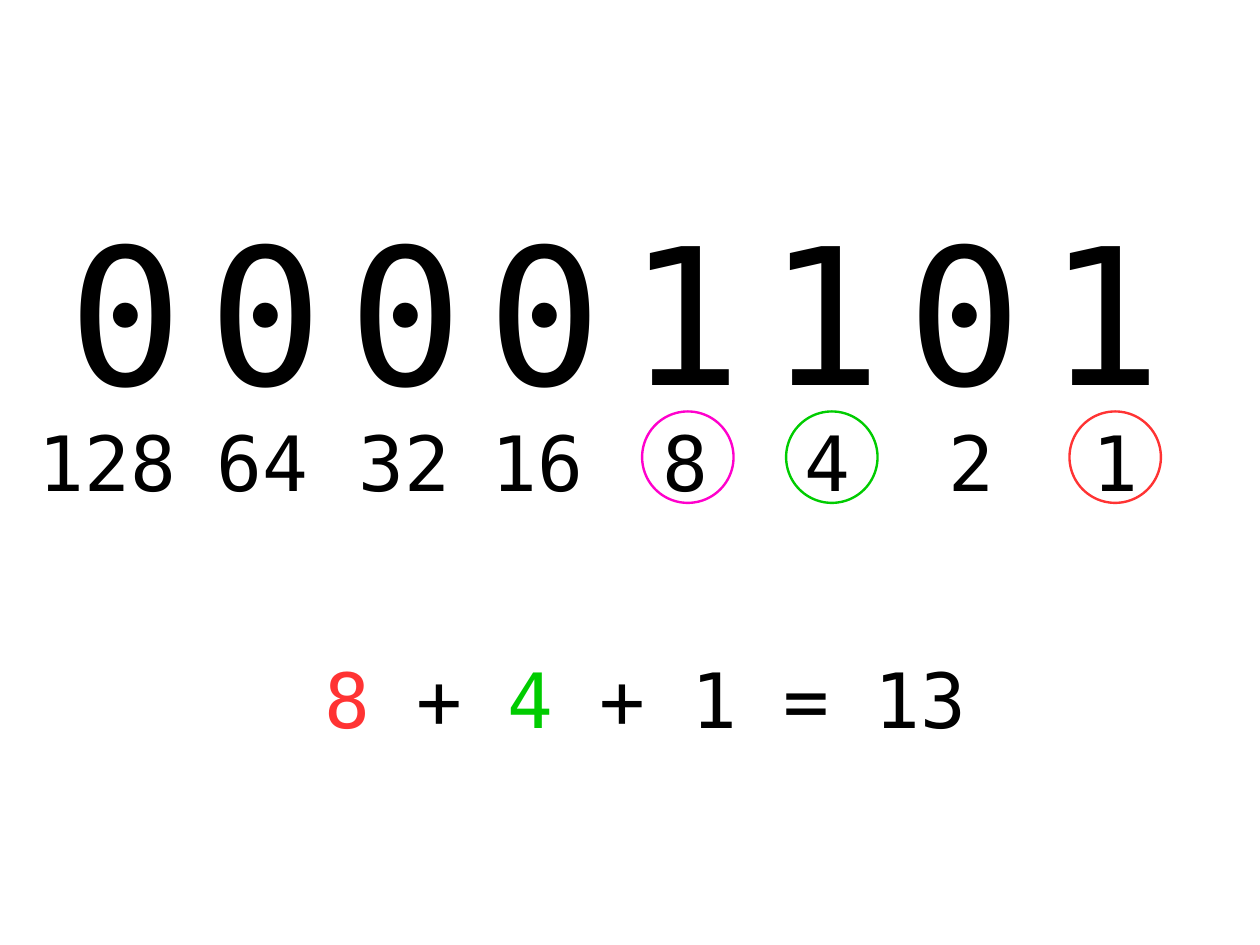
from pptx import Presentation
from pptx.dml.color import RGBColor
from pptx.enum.shapes import MSO_SHAPE as Shape
from pptx.enum.text import MSO_AUTO_SIZE as AutoSize
from pptx.util import Pt

FONT = "DejaVu Sans Mono"
BLACK, RED, GREEN, PINK = "000000", "FF3333", "00CC00", "FF00CC"

BITS = "00001101"
PLACES = [
    ("1", 681.1, 40.3), ("2", 590.4, 40.3), ("4", 499.7, 40.3), ("8", 410.4, 40.3),
    ("128", 17.3, 112.3), ("64", 129.6, 86.4), ("32", 218.9, 112.3), ("16", 302.4, 112.3),
]
RINGS = [(673.7, RED), (495.2, GREEN), (404.5, PINK)]
SUM = [("8", RED), (" + ", BLACK), ("4", GREEN), (" + 1 = 13", BLACK)]

SLIDE_WIDTH, SLIDE_HEIGHT = 793.7, 595.28
PLACE_TOP, SUM_TOP, LINE_HEIGHT = 258.3, 407.5, 62.6
RING_TOP, RING_SIZE = 259.2, 57.6
BIT_SPACING = 16


def colour(value):
    return RGBColor.from_string(value)


def add_text(page, spans, left, top, width, height, size=48):
    box = page.shapes.add_textbox(Pt(left), Pt(top), Pt(width), Pt(height))
    frame = box.text_frame
    frame.word_wrap = True
    frame.auto_size = AutoSize.SHAPE_TO_FIT_TEXT
    para = frame.paragraphs[0]
    para.font.name = FONT
    para.font.size = Pt(size)
    for text, tint in spans:
        span = para.add_run()
        span.text = text
        span.font.color.rgb = colour(tint)
    return para


def add_ring(page, left, tint):
    ring = page.shapes.add_shape(Shape.OVAL, Pt(left), Pt(RING_TOP), Pt(RING_SIZE), Pt(RING_SIZE))
    ring.shadow.inherit = False
    ring.fill.background()
    ring.line.color.rgb = colour(tint)
    ring.line.width = Pt(1.5)


def main():
    deck = Presentation()
    deck.slide_width, deck.slide_height = Pt(SLIDE_WIDTH), Pt(SLIDE_HEIGHT)
    page = deck.slides.add_slide(deck.slide_layouts[6])

    bits = add_text(page, [(BITS, BLACK)], 36, 119.5, 707, 146.9, size=120)
    bits.runs[0].font._element.set("spc", str(BIT_SPACING * 100))
    for value, left, width in PLACES:
        add_text(page, [(value, BLACK)], left, PLACE_TOP, width, LINE_HEIGHT)
    for left, tint in RINGS:
        add_ring(page, left, tint)
    add_text(page, SUM, 197.3, SUM_TOP, 421.9, LINE_HEIGHT)

    deck.save("out.pptx")


if __name__ == "__main__":
    main()
